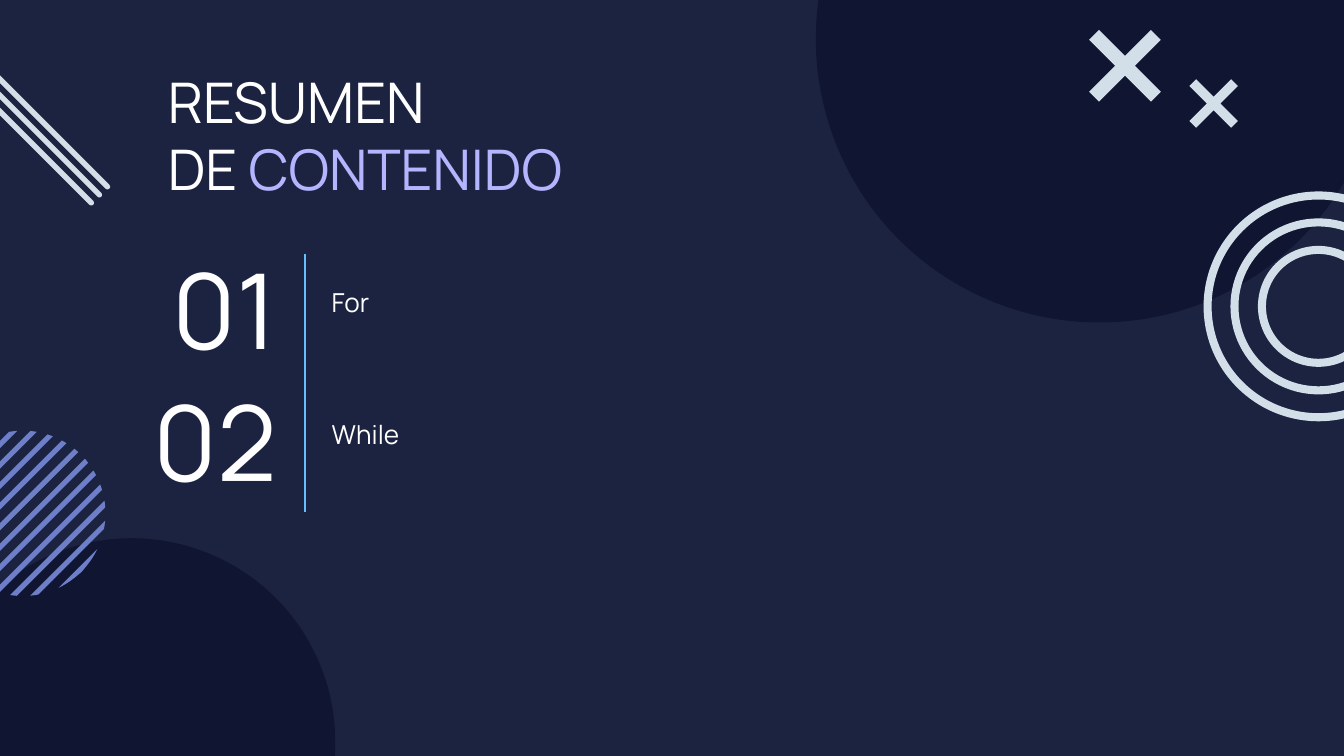
import math
from lxml import etree
from pptx import Presentation
from pptx import util as u
from pptx.dml.color import RGBColor
from pptx.enum import shapes, text
from pptx.oxml.ns import qn

WIDTH = 10
HEIGHT = WIDTH * 9 / 16
FONT = "Manrope"
COLORS = {
    "background": "1C2340",
    "disc": "101632",
    "stripe": "6D7FC9",
    "pale": "D2DFE9",
    "rule": "67BBFF",
    "white": "FFFFFF",
    "accent": "B3B5FF",
}
KINDS = shapes.MSO_SHAPE
TOPICS = ["For", "While"]
ROW_STEP = 0.98


def color(name):
    return RGBColor.from_string(COLORS[name])


def paint(shape, name):
    shape.shadow.inherit = False
    shape.fill.solid()
    shape.fill.fore_color.rgb = color(name)
    shape.line.fill.background()


def add_centred(page, kind, center, size, fill, adjust=None, rotation=0):
    """Add a filled preset shape around its centre; adjust is its first handle."""
    (x, y), (width, height) = center, size
    shape = page.shapes.add_shape(kind, u.Inches(x - width / 2), u.Inches(y - height / 2),
                                  u.Inches(width), u.Inches(height))
    if adjust is not None:
        shape.adjustments[0] = adjust
    shape.rotation = rotation
    paint(shape, fill)


def add_striped_disc(page, center, radius, count=11, step=0.153, band=0.054):
    """Fill a circle with rising diagonal stripes that end on its edge."""
    def chord_end(offset, side):
        reach = side * math.sqrt(max(0, radius ** 2 / 2 - offset ** 2 / 4))
        return (u.Inches(center[0] + offset / 2 + reach),
                u.Inches(center[1] + offset / 2 - reach))

    for index in range(count):
        start = -0.71 + index * step
        offsets = [start + band * part / 6 for part in range(7)]
        outline = [chord_end(offset, 1) for offset in offsets]
        outline += [chord_end(offset, -1) for offset in reversed(offsets)]
        builder = page.shapes.build_freeform(*outline[0])
        builder.add_line_segments(outline[1:], close=True)
        paint(builder.convert_to_shape(), "stripe")


def add_text(page, area, lines, size, align=text.PP_ALIGN.LEFT, anchor=text.MSO_ANCHOR.TOP):
    """Add a text box; each line is a list of (words, colour) runs."""
    box = page.shapes.add_textbox(*[u.Inches(length) for length in area])
    frame = box.text_frame
    frame.word_wrap = True
    frame.vertical_anchor = anchor
    frame.margin_left = frame.margin_right = u.Inches(0.1)
    frame.margin_top = frame.margin_bottom = u.Inches(0.1)
    for index, runs in enumerate(lines):
        para = frame.add_paragraph() if index else frame.paragraphs[0]
        para.alignment = align
        for words, name in runs:
            span = para.add_run()
            span.text = words
            span.font.name = FONT
            span.font.size = u.Pt(size)
            span.font.color.rgb = color(name)


def add_rule(page, x, top, bottom):
    rule = page.shapes.add_connector(shapes.MSO_CONNECTOR.STRAIGHT, u.Inches(x),
                                     u.Inches(top), u.Inches(x), u.Inches(bottom))
    rule.line.color.rgb = color("rule")
    rule.line.width = u.Pt(1.5)
    etree.SubElement(rule._element.spPr, qn("a:effectLst"))


def add_decoration(page):
    for center, diameter in [((0.98, 5.52), 3.03), ((8.18, 0.29), 4.22)]:
        add_centred(page, KINDS.OVAL, center, (diameter, diameter), "disc")
    add_striped_disc(page, (0.17, 3.82), 0.615)
    for diameter in (1.71, 1.31, 0.9):
        add_centred(page, KINDS.DONUT, (9.81, 2.28), (diameter, diameter), "pale",
                    adjust=0.06 / diameter)
    for index in range(3):
        add_centred(page, KINDS.ROUNDED_RECTANGLE,
                    (0.23 - 0.06 * index, 0.82 + 0.06 * index), (1.65, 0.04), "pale",
                    adjust=0.5, rotation=45)
    for center, side in [((9.03, 0.77), 0.44), ((8.37, 0.49), 0.65)]:
        add_centred(page, KINDS.CROSS, center, (side, side), "pale",
                    adjust=0.42, rotation=45)


def main():
    deck = Presentation()
    deck.slide_width, deck.slide_height = u.Inches(WIDTH), u.Inches(HEIGHT)
    page = deck.slides.add_slide(deck.slide_layouts[6])
    page.background.fill.solid()
    page.background.fill.fore_color.rgb = color("background")

    add_decoration(page)
    add_text(page, (1.15, 0.4, 4.05, 0.98),
             [[("RESUMEN", "white")], [("DE ", "white"), ("CONTENIDO", "accent")]], 30)
    for row, topic in enumerate(TOPICS):
        shift = row * ROW_STEP
        add_text(page, (0.71, 2.16 + shift, 1.45, 0.26), [[(f"{row + 1:02}", "white")]], 56,
                 text.PP_ALIGN.RIGHT, text.MSO_ANCHOR.MIDDLE)
        add_text(page, (2.37, 2.03 + shift, 2.57, 0.44), [[(topic, "white")]], 14)
    add_rule(page, 2.27, 1.89, 3.81)
    deck.save("out.pptx")


if __name__ == "__main__":
    main()
